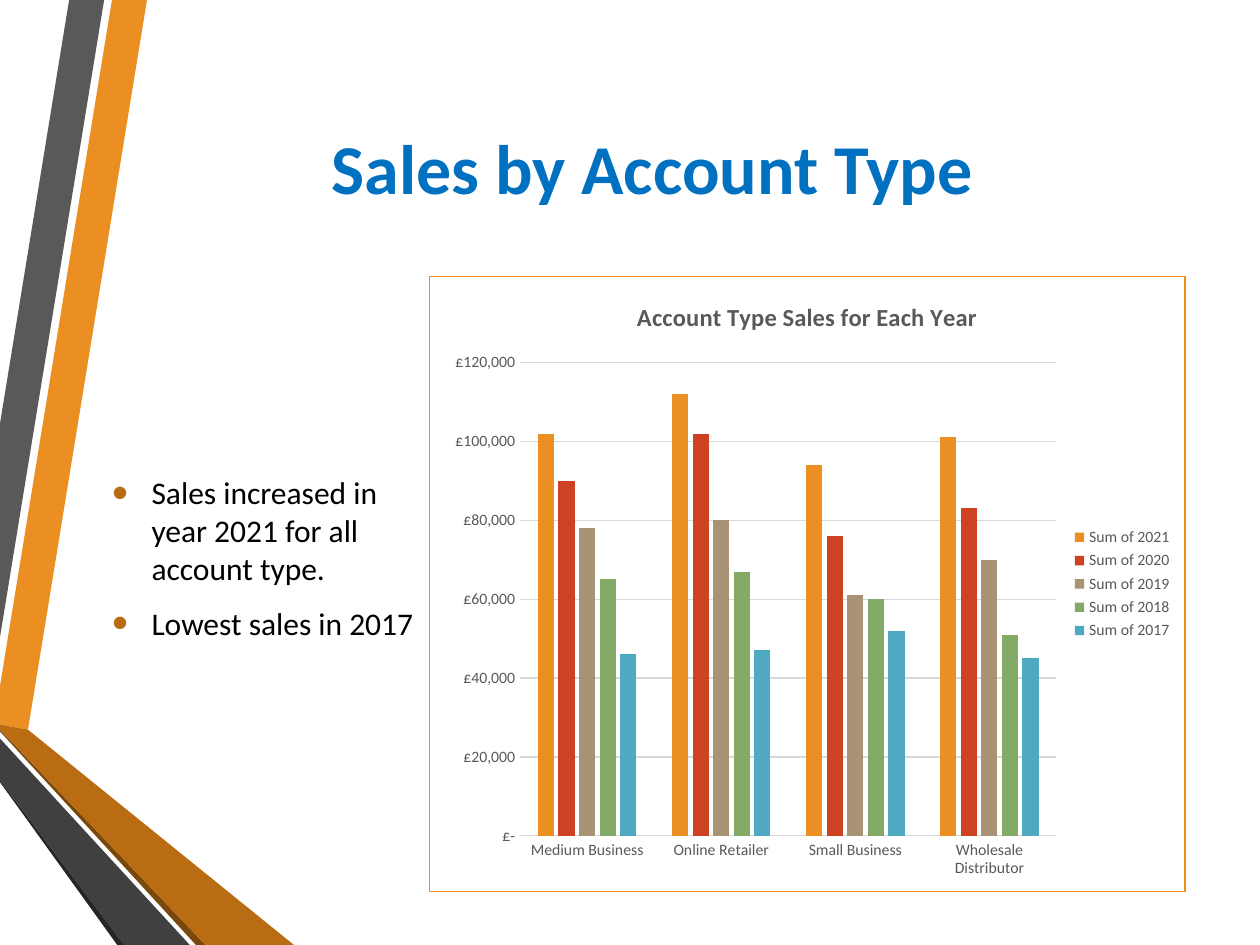
from lxml import etree
from pptx import Presentation
from pptx.chart.data import CategoryChartData
from pptx.dml.color import RGBColor
from pptx.enum.chart import XL_CHART_TYPE as ChartType
from pptx.enum.chart import XL_LEGEND_POSITION as LegendPosition
from pptx.enum.chart import XL_TICK_MARK as TickMark
from pptx.enum.text import MSO_ANCHOR as Anchor
from pptx.enum.text import PP_ALIGN as Align
from pptx.oxml import parse_xml
from pptx.oxml.ns import nsdecls, qn
from pptx.util import Pt

COLORS = {
    "title": "0070C0", "text": "000000", "label": "595959", "grid": "D9D9D9",
    "paper": "FFFFFF", "orange": "EB8F22", "brown": "B96C11",
    "dark_brown": "7B480B", "gray": "595959", "charcoal": "404040",
    "black": "262626", "red": "CD4223", "tan": "A89374", "green": "83AA67",
    "blue": "4FA9C1",
}

# Ribbon outlines in points, from back to front
RIBBONS = [
    ("orange", [(0, 392), (0, 414), (16, 417), (84, 0), (64, 0)]),
    ("gray", [(59.5, 0), (39.5, 0), (0, 242), (0, 364)]),
    ("black", [(0, 446), (0, 447), (67, 540), (71, 540)]),
    ("dark_brown", [(0, 417), (0, 418), (112, 540), (117.5, 540)]),
    ("brown", [(0, 417), (117.5, 540), (168, 540), (16, 417), (0, 414)]),
    ("charcoal", [(0, 446), (71, 540), (108.5, 540), (0, 422)]),
]

ACCOUNT_TYPES = ["Medium Business", "Online Retailer", "Small Business",
                 "Wholesale Distributor"]
SALES = [
    ("Sum of 2021", "orange", (102000, 112000, 94000, 101000)),
    ("Sum of 2020", "red", (90000, 102000, 76000, 83000)),
    ("Sum of 2019", "tan", (78000, 80000, 61000, 70000)),
    ("Sum of 2018", "green", (65000, 67000, 60000, 51000)),
    ("Sum of 2017", "blue", (46000, 47000, 52000, 45000)),
]
POUNDS = '"£"#,##0;-"£"#,##0;"£-"'
PLOT_LAYOUT = {"x": 0.12, "y": 0.14, "w": 0.71, "h": 0.77}


def set_all(target, values):
    for key, value in values.items():
        setattr(target, key, value)


def rgb(color):
    return RGBColor.from_string(COLORS[color])


class SlideBuilder:
    font_name = "Calibri"

    def __init__(self, slide):
        self.slide = slide

    def format_font(self, font, size, color, bold=False):
        set_all(font, {"name": self.font_name, "size": Pt(size), "bold": bold})
        font.color.rgb = rgb(color)

    def place(self, shape, box):
        names = ("left", "top", "width", "height")
        set_all(shape, dict(zip(names, map(Pt, box))))

    def ribbon(self, color, points):
        start, *rest = [(Pt(x), Pt(y)) for x, y in points]
        outline = self.slide.shapes.build_freeform(*start)
        outline.add_line_segments(rest, close=True)
        shape = outline.convert_to_shape()
        shape.shadow.inherit = False
        shape.fill.solid()
        shape.fill.fore_color.rgb = rgb(color)
        shape.line.fill.background()

    def title(self, text, box):
        title = self.slide.shapes.title
        self.place(title, box)
        set_all(title.text_frame, {"text": text, "word_wrap": True,
                                   "vertical_anchor": Anchor.MIDDLE})
        paragraph = title.text_frame.paragraphs[0]
        paragraph.alignment = Align.CENTER
        self.format_font(paragraph.runs[0].font, 40, "title", True)

    def bullets(self, lines, box):
        frame = self.slide.shapes.add_textbox(*map(Pt, box)).text_frame
        set_all(frame, {"text": "\n".join(lines), "word_wrap": True,
                        "vertical_anchor": Anchor.MIDDLE,
                        "margin_bottom": Pt(34)})
        for paragraph in frame.paragraphs:
            set_all(paragraph, {"space_before": Pt(3.6), "space_after": Pt(6)})
            self.format_font(paragraph.runs[0].font, 18, "text")
            props = paragraph._p.get_or_add_pPr()
            props.set("marL", str(Pt(22.5)))
            props.set("indent", str(-Pt(22.5)))
            color = etree.SubElement(props, qn("a:buClr"))
            etree.SubElement(color, qn("a:srgbClr"), val=COLORS["brown"])
            etree.SubElement(props, qn("a:buSzPct"), val="145000")
            etree.SubElement(props, qn("a:buFont"), typeface="Arial")
            etree.SubElement(props, qn("a:buChar"), char="•")

    def column_chart(self, title, categories, series, box):
        data = CategoryChartData(number_format=POUNDS)
        data.categories = categories
        for name, _, values in series:
            data.add_series(name, values)
        chart = self.slide.shapes.add_chart(
            ChartType.COLUMN_CLUSTERED, *map(Pt, box), data).chart
        self.format_font(chart.font, 10, "text")

        # Title and legend
        heading = chart.chart_title.text_frame
        heading.text = title
        self.format_font(heading.paragraphs[0].runs[0].font, 14, "label", True)
        chart.has_legend = True
        set_all(chart.legend, {"position": LegendPosition.RIGHT,
                               "include_in_layout": False})
        self.format_font(chart.legend.font, 9, "label")

        # Columns
        plot = chart.plots[0]
        set_all(plot, {"gap_width": 219, "overlap": -27,
                       "vary_by_categories": False})
        for column, (_, color, _) in zip(plot.series, series):
            column.format.fill.solid()
            column.format.fill.fore_color.rgb = rgb(color)

        # Axes
        for axis in (chart.category_axis, chart.value_axis):
            set_all(axis, {"major_tick_mark": TickMark.NONE,
                           "minor_tick_mark": TickMark.NONE})
            self.format_font(axis.tick_labels.font, 9, "label")
        set_all(chart.value_axis, {"minimum_scale": 0, "maximum_scale": 120000,
                                   "major_unit": 20000})
        set_all(chart.value_axis.tick_labels, {
            "number_format": POUNDS, "number_format_is_linked": False})
        chart.value_axis.format.line.fill.background()
        for line in (chart.category_axis.format.line,
                     chart.value_axis.major_gridlines.format.line):
            line.color.rgb = rgb("grid")
            line.width = Pt(0.75)
        self.chart_frame(chart)

    def chart_frame(self, chart):
        space = chart._chartSpace
        space.find(qn("c:txPr")).addprevious(parse_xml(
            f'<c:spPr {nsdecls("c", "a")}>'
            f'<a:solidFill><a:srgbClr val="{COLORS["paper"]}"/></a:solidFill>'
            f'<a:ln w="{Pt(0.75)}"><a:solidFill>'
            f'<a:srgbClr val="{COLORS["orange"]}"/></a:solidFill></a:ln>'
            '</c:spPr>'))
        area = space.find(".//" + qn("c:plotArea"))
        layout = area.find(qn("c:layout"))
        if layout is None:
            layout = etree.Element(qn("c:layout"))
            area.insert(0, layout)
        manual = etree.SubElement(layout, qn("c:manualLayout"))
        etree.SubElement(manual, qn("c:layoutTarget"), val="inner")
        for side in "xy":
            etree.SubElement(manual, qn(f"c:{side}Mode"), val="edge")
        for key, share in PLOT_LAYOUT.items():
            etree.SubElement(manual, qn(f"c:{key}"), val=str(share))


def main():
    deck = Presentation()
    set_all(deck, {"slide_width": Pt(720), "slide_height": Pt(540)})
    builder = SlideBuilder(deck.slides.add_slide(deck.slide_layouts[5]))

    # Ribbons along the left edge
    for color, points in RIBBONS:
        builder.ribbon(color, points)

    # Title, takeaways and sales chart
    builder.title("Sales by Account Type ", (77, 54, 600.5, 82))
    builder.bullets(["Sales increased in year 2021 for all account type.",
                     "Lowest sales in 2017"], (57, 157.7, 188.6, 352))
    builder.column_chart("Account Type Sales for Each Year", ACCOUNT_TYPES,
                         SALES, (245, 157.7, 432.5, 352))
    deck.save("out.pptx")


if __name__ == "__main__":
    main()
